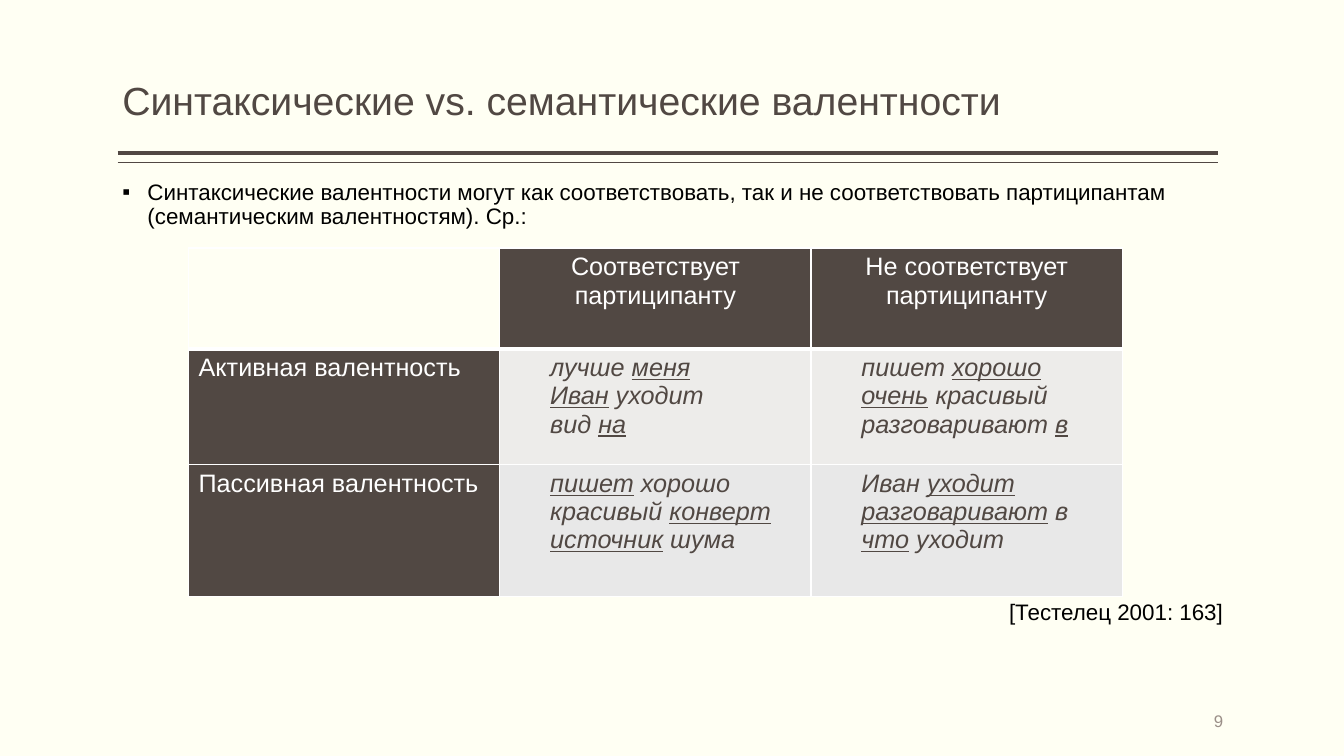
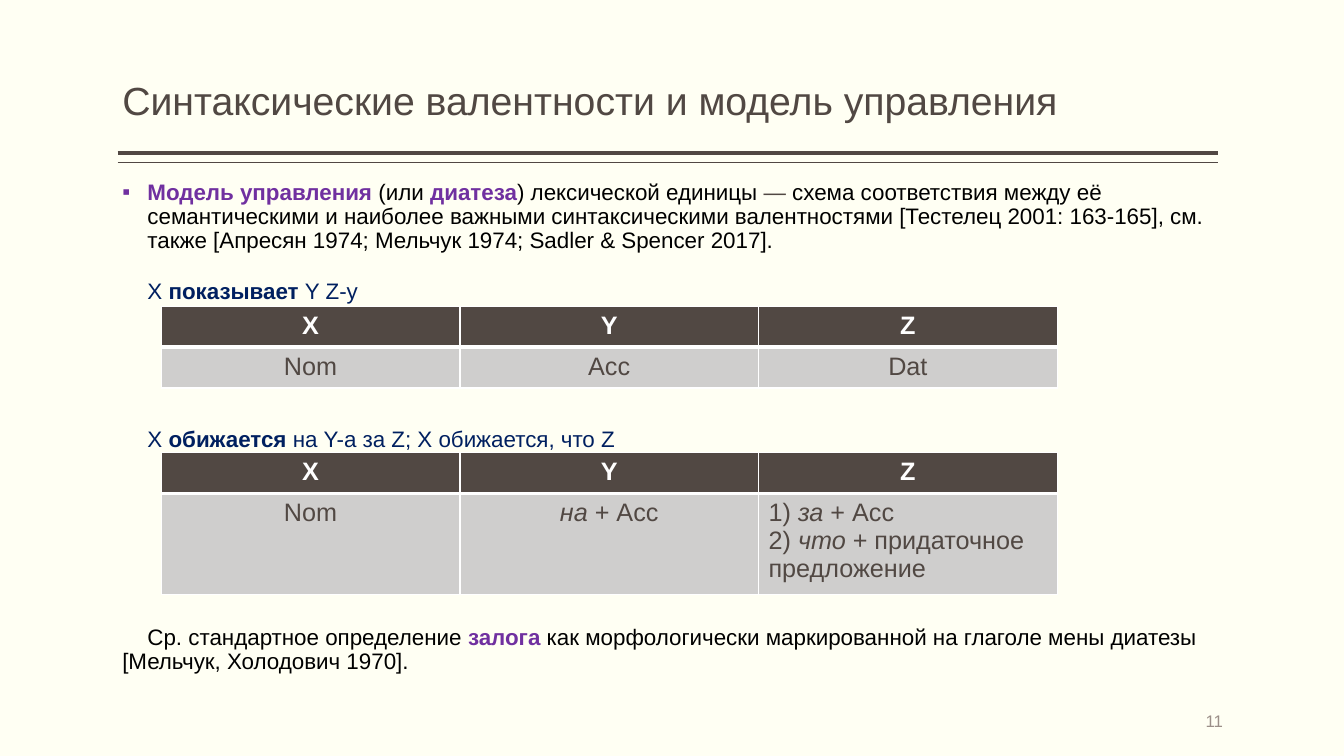
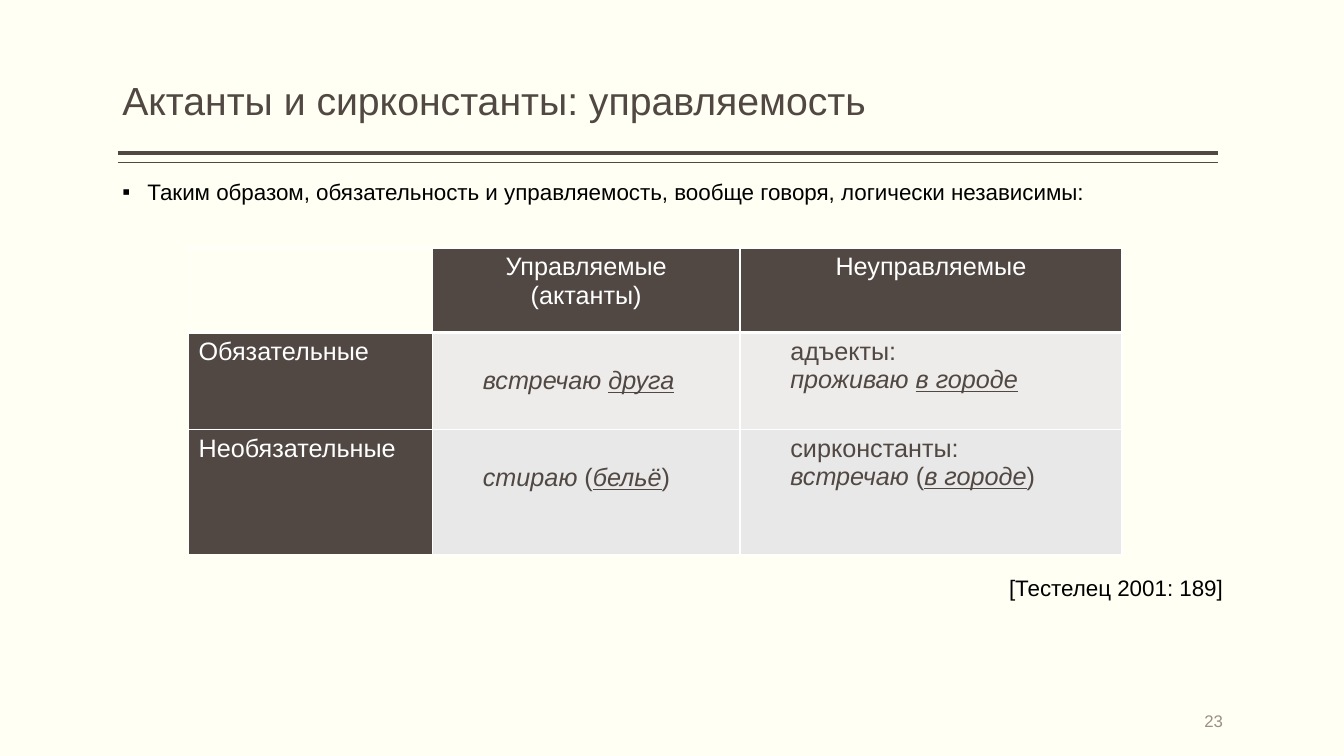
from itertools import groupby
from lxml.etree import SubElement
from pptx import Presentation
from pptx.dml.color import RGBColor
from pptx.enum.shapes import MSO_CONNECTOR
from pptx.enum.text import MSO_ANCHOR, PP_ALIGN
from pptx.oxml import parse_xml
from pptx.oxml.ns import nsdecls, qn
from pptx.util import Inches, Pt

IVORY, BROWN, WHITE, BLACK = "FFFFF3", "514843", "FFFFFF", "000000"
PURPLE, NAVY, GREY, TAUPE = "7030A0", "002060", "CFCECD", "9B8F88"
MATRIX_FILLS = ["EDECEA", "E8E8E8"]
FONT = "Arial"
MARKS = "*/_~"


def color(value):
    return RGBColor.from_string(value)


def write(frame, text, size=16, ink=BLACK, accent=None, bold=False, align=PP_ALIGN.LEFT,
          indent=0, first=0, bullet=None, spacing=0.9):
    frame.word_wrap = True
    for index, line in enumerate(text.split("\n")):
        paragraph = frame.add_paragraph() if index else frame.paragraphs[0]
        paragraph.alignment = align
        paragraph.line_spacing = spacing
        properties = paragraph._p.get_or_add_pPr()
        properties.set("marL", str(Inches(indent)))
        properties.set("indent", str(Inches(first)))
        if bullet:
            bullet_color = SubElement(properties, qn("a:buClr"))
            SubElement(bullet_color, qn("a:srgbClr")).set("val", bullet)
            SubElement(properties, qn("a:buFont")).set("typeface", FONT)
            SubElement(properties, qn("a:buChar")).set("char", "▪")
        active, letters = frozenset(), []
        for letter in line:
            if letter in MARKS:
                active ^= {letter}
            else:
                letters.append((letter, active))
        for marks, group in groupby(letters, key=lambda pair: pair[1]):
            run = paragraph.add_run()
            run.text = "".join(letter for letter, _ in group)
            run.font.name = FONT
            run.font.size = Pt(size)
            run.font.bold = bold or "*" in marks
            run.font.italic = "/" in marks
            run.font.underline = "_" in marks
            strong = accent if accent and "*" in marks else ink
            run.font.color.rgb = color(BROWN if "~" in marks else strong)


presentation = Presentation()
presentation.slide_width = Inches(13.33)
presentation.slide_height = Inches(7.5)
column = presentation.slide_width / 100
row = presentation.slide_height / 100
text_line = 3.27
body_top = 23.33

presentation.slide_master.background.fill.solid()
presentation.slide_master.background.fill.fore_color.rgb = color(IVORY)

bullet_format = dict(indent=0.25, first=-0.25, bullet=BLACK)
source_format = dict(align=PP_ALIGN.RIGHT)
example_format = dict(ink=NAVY, indent=0.25)
matrix = dict(left=14.03, top=32.8, stub=True)
frame_model = dict(left=12, columns=[22.22] * 3, stub=False)

slides = [
    dict(
        title="Синтаксические vs. семантические валентности",
        number=9,
        texts=[
            (0, "Синтаксические валентности могут как соответствовать, так и не соответствовать "
                "партиципантам (семантическим валентностям). Ср.:", bullet_format),
            (17, "[Тестелец 2001: 163]", source_format),
        ],
        tables=[dict(matrix, columns=[23.16] * 3, rows=[13.33, 15.33, 17.47], cells=[
            ["", "Соответствует партиципанту", "Не соответствует партиципанту"],
            ["Активная валентность",
             "/лучше _меня_/\n/_Иван_ уходит/\n/вид _на_/",
             "/пишет _хорошо_/\n/_очень_ красивый разговаривают _в_/"],
            ["Пассивная валентность",
             "/_пишет_ хорошо/\n/красивый _конверт_/\n/_источник_ шума/",
             "/Иван _уходит_/\n/_разговаривают_ в/\n/_что_ уходит/"],
        ])],
    ),
    dict(
        title="Синтаксические валентности и модель управления",
        number=11,
        texts=[
            (0, "*Модель управления* (или *диатеза*) лексической единицы ~—~ схема соответствия "
                "между её семантическими и наиболее важными синтаксическими валентностями "
                "[Тестелец 2001: 163-165], см. также [Апресян 1974; Мельчук 1974; "
                "Sadler & Spencer 2017].", dict(bullet_format, bullet=PURPLE, accent=PURPLE)),
            (4, "X *показывает* Y Z-у", example_format),
            (10, "X *обижается* на Y-а за Z; X обижается, что Z", example_format),
            (18, "Ср. стандартное определение *залога* как морфологически маркированной на глаголе "
                 "мены диатезы [Мельчук, Холодович 1970].", dict(first=0.25, accent=PURPLE)),
        ],
        tables=[
            dict(frame_model, top=40.53, rows=[5.4, 5.4],
                 cells=[["X", "Y", "Z"], ["Nom", "Acc", "Dat"]]),
            dict(frame_model, top=59.87, rows=[5.4, 12.3],
                 cells=[["X", "Y", "Z"],
                        ["Nom", "/на/ + Acc",
                         "1) /за/ + Acc\n2) /что/ + придаточное предложение"]]),
        ],
    ),
    dict(
        title="Актанты и сирконстанты: управляемость",
        number=23,
        texts=[
            (0, "Таким образом, обязательность и управляемость, вообще говоря, логически "
                "независимы:", bullet_format),
            (16, "[Тестелец 2001: 189]", source_format),
        ],
        tables=[dict(matrix, columns=[18.15, 22.88, 28.43], rows=[11.2, 12.8, 16.53],
                     lowered_column=1, cells=[
            ["", "Управляемые\n(актанты)", "Неуправляемые"],
            ["Обязательные", "/встречаю _друга_/", "адъекты:\n/проживаю _в городе_/"],
            ["Необязательные", "/стираю/ (/_бельё_/)", "сирконстанты:\n/встречаю/ (/_в городе_/)"],
        ])],
    ),
]

for content in slides:
    slide = presentation.slides.add_slide(presentation.slide_layouts[6])

    for height, weight in [(20.25, 3), (21.47, 1)]:
        rule = slide.shapes.add_connector(
            MSO_CONNECTOR.STRAIGHT, int(8.76 * column), int(height * row),
            int(90.6 * column), int(height * row))
        rule.line.color.rgb = color(BROWN)
        rule.line.width = Pt(weight)
        SubElement(rule._element.spPr, qn("a:effectLst"))

    boxes = [
        (9.1, 1.08, 81.9, 16, MSO_ANCHOR.BOTTOM, content["title"], dict(size=28, ink=BROWN)),
        (75.9, 92.67, 15.1, 5.33, MSO_ANCHOR.MIDDLE, str(content["number"]),
         dict(size=12, ink=TAUPE, align=PP_ALIGN.RIGHT, spacing=1.0)),
    ]
    for line, text, text_format in content["texts"]:
        boxes.append((9.1, body_top + line * text_line, 81.9, 2 * text_line,
                      MSO_ANCHOR.TOP, text, text_format))
    for left, top, width, height, anchor, text, text_format in boxes:
        shape = slide.shapes.add_textbox(
            int(left * column), int(top * row), int(width * column), int(height * row))
        frame = shape.text_frame
        frame.margin_left = frame.margin_right = 0
        frame.vertical_anchor = anchor
        write(frame, text, **text_format)

    for layout in content["tables"]:
        table = slide.shapes.add_table(
            len(layout["rows"]), len(layout["columns"]),
            int(layout["left"] * column), int(layout["top"] * row),
            int(sum(layout["columns"]) * column), int(sum(layout["rows"]) * row)).table
        table.first_row = table.horz_banding = False
        for table_column, width in zip(table.columns, layout["columns"]):
            table_column.width = int(width * column)
        for table_row, height in zip(table.rows, layout["rows"]):
            table_row.height = int(height * row)

        for row_index, texts in enumerate(layout["cells"]):
            for column_index, text in enumerate(texts):
                cell = table.cell(row_index, column_index)
                heading = row_index == 0
                label = layout["stub"] and column_index == 0
                if not text:
                    fill = IVORY
                elif heading or label:
                    fill = BROWN
                else:
                    fill = MATRIX_FILLS[row_index - 1] if layout["stub"] else GREY
                cell.fill.solid()
                cell.fill.fore_color.rgb = color(fill)

                cell_properties = cell._tc.get_or_add_tcPr()
                for position, side in enumerate("LRTB"):
                    weight = Pt(3 if heading and side == "B" else 1)
                    cell_properties.insert(position, parse_xml(
                        f'<a:ln{side} {nsdecls("a")} w="{weight}"><a:solidFill>'
                        f'<a:srgbClr val="{WHITE}"/></a:solidFill></a:ln{side}>'))

                inner = layout["stub"] and not heading and not label
                if inner and column_index == layout.get("lowered_column"):
                    cell.margin_top = Inches(0.34)
                centered = heading or not layout["stub"] and "\n" not in text
                write(cell.text_frame, text, size=18, spacing=1.0,
                      ink=WHITE if heading or label else BROWN,
                      bold=heading and not layout["stub"],
                      align=PP_ALIGN.CENTER if centered else PP_ALIGN.LEFT,
                      indent=0.4 if inner else 0)

presentation.save("out.pptx")
